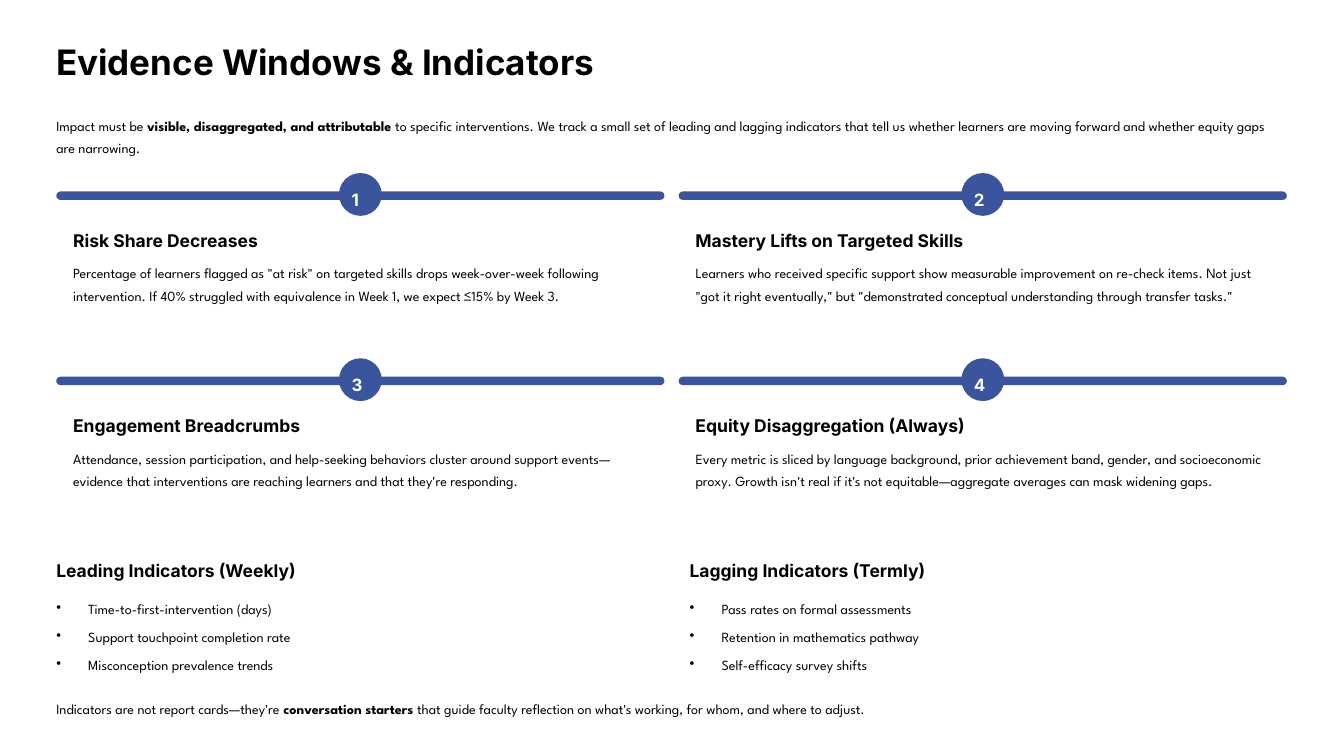
from dataclasses import dataclass

import pptx
import pptx.dml.color
import pptx.enum.shapes
import pptx.util
from lxml import etree
from pptx.oxml.ns import qn

Inches = pptx.util.Inches
Pt = pptx.util.Pt
Shapes = pptx.enum.shapes.MSO_SHAPE

HEADING_FONT = "Inter"
BODY_FONT = "League Spartan"
BLUE = "3A549E"
BLACK = "000000"
WHITE = "FFFFFF"

MARGIN = 0.67
CONTENT_WIDTH = 14.65
CARD_WIDTH = 7.24
CARD_PITCH = 7.41
CARD_TOP = 2.06
ROW_PITCH = 2.205
CIRCLE = 0.51
BULLET_INDENT = 0.38


@dataclass
class Evidence:
    title: str
    title_width: float
    detail: str
    detail_height: float = 0.81


@dataclass
class IndicatorList:
    left: float
    title: str
    title_width: float
    items: list[str]


EVIDENCE = [
    Evidence("Risk Share Decreases", 2.23,
             'Percentage of learners flagged as "at risk" on targeted skills drops week-over-week '
             "following intervention. If 40% struggled with equivalence in Week 1, we expect ≤15% "
             "by Week 3."),
    Evidence("Mastery Lifts on Targeted Skills", 3.23,
             "Learners who received specific support show measurable improvement on re-check items. "
             'Not just "got it right eventually," but "demonstrated conceptual understanding through '
             'transfer tasks."'),
    Evidence("Engagement Breadcrumbs", 2.73,
             "Attendance, session participation, and help-seeking behaviors cluster around support "
             "events—evidence that interventions are reaching learners and that they're responding.",
             0.54),
    Evidence("Equity Disaggregation (Always)", 3.24,
             "Every metric is sliced by language background, prior achievement band, gender, and "
             "socioeconomic proxy. Growth isn't real if it's not equitable—aggregate averages can "
             "mask widening gaps."),
]

INDICATORS = [
    IndicatorList(MARGIN, "Leading Indicators (Weekly)", 2.88,
                  ["Time-to-first-intervention (days)", "Support touchpoint completion rate",
                   "Misconception prevalence trends"]),
    IndicatorList(8.21, "Lagging Indicators (Termly)", 2.84,
                  ["Pass rates on formal assessments", "Retention in mathematics pathway",
                   "Self-efficacy survey shifts"]),
]


def rgb(color: str) -> pptx.dml.color.RGBColor:
    return pptx.dml.color.RGBColor.from_string(color)


def add_bullet(paragraph) -> None:
    properties = paragraph._p.get_or_add_pPr()
    properties.set("marL", str(Inches(BULLET_INDENT)))
    properties.set("indent", str(-Inches(BULLET_INDENT)))
    etree.SubElement(properties, qn("a:buChar")).set("char", "•")


def add_text(slide, text: str, left: float, top: float, width: float, height: float, *,
             font: str = BODY_FONT, size: float = 12, line: float = 19, color: str = BLACK,
             bold: bool = False, wrap: bool = False, bullets: bool = False,
             gap: float = 0) -> None:
    """Each line of text is a paragraph; parts between ** marks are bold."""
    frame = slide.shapes.add_textbox(
        Inches(left), Inches(top), Inches(width), Inches(height)).text_frame
    frame.margin_left = frame.margin_top = frame.margin_right = frame.margin_bottom = 0
    frame.word_wrap = wrap
    for index, content in enumerate(text.split("\n")):
        paragraph = frame.add_paragraph() if index else frame.paragraphs[0]
        if bullets:
            add_bullet(paragraph)
        paragraph.line_spacing = Pt(line)
        if index:
            paragraph.space_before = Pt(gap)
        for part, words in enumerate(content.split("**")):
            run = paragraph.add_run()
            run.text = words
            run.font.name = font
            run.font.size = Pt(size)
            run.font.bold = bold or part % 2 == 1
            run.font.color.rgb = rgb(color)


def add_heading(slide, text: str, left: float, top: float, width: float) -> None:
    add_text(slide, text, left, top, width, 0.26,
             font=HEADING_FONT, size=15, line=18.5, bold=True)


def add_blue_shape(slide, kind, left: float, top: float, width: float, height: float):
    shape = slide.shapes.add_shape(
        kind, Inches(left), Inches(top), Inches(width), Inches(height))
    shape.shadow.inherit = False
    shape.fill.solid()
    shape.fill.fore_color.rgb = rgb(BLUE)
    shape.line.fill.background()
    return shape


def add_evidence(slide, index: int, evidence: Evidence) -> None:
    row, column = divmod(index, 2)
    left = MARGIN + column * CARD_PITCH
    top = CARD_TOP + row * ROW_PITCH
    circle_left = left + (CARD_WIDTH - CIRCLE) / 2
    bar = add_blue_shape(slide, Shapes.ROUNDED_RECTANGLE, left, top + 0.22, CARD_WIDTH, 0.1)
    bar.adjustments[0] = 0.5
    add_blue_shape(slide, Shapes.OVAL, circle_left, top, CIRCLE, CIRCLE)
    add_text(slide, str(index + 1), circle_left + 0.15, top + 0.12, 0.2, 0.25,
             font=HEADING_FONT, size=14.5, line=23, color=WHITE, bold=True)
    add_heading(slide, evidence.title, left + 0.2, top + 0.67, evidence.title_width)
    add_text(slide, evidence.detail, left + 0.2, top + 1.03, 6.85, evidence.detail_height,
             wrap=True)


def add_indicators(slide, indicators: IndicatorList) -> None:
    add_heading(slide, indicators.title, indicators.left, 6.66, indicators.title_width)
    add_text(slide, "\n".join(indicators.items), indicators.left, 7.09, 7.12, 0.93,
             wrap=True, bullets=True, gap=4.75)


def main() -> None:
    deck = pptx.Presentation()
    deck.slide_width, deck.slide_height = Inches(16), Inches(9)
    slide = deck.slides.add_slide(deck.slide_layouts[6])
    slide.background.fill.solid()
    slide.background.fill.fore_color.rgb = rgb(WHITE)

    add_text(slide, "Evidence Windows & Indicators", MARGIN, 0.46, 6.48, 0.53,
             font=HEADING_FONT, size=30, line=37.5, bold=True)
    add_text(slide,
             "Impact must be **visible, disaggregated, and attributable** to specific "
             "interventions. We track a small set of leading and lagging indicators that tell us "
             "whether learners are moving forward and whether equity gaps are narrowing.",
             MARGIN, 1.33, CONTENT_WIDTH, 0.54, wrap=True)
    for index, evidence in enumerate(EVIDENCE):
        add_evidence(slide, index, evidence)
    for indicators in INDICATORS:
        add_indicators(slide, indicators)
    add_text(slide,
             "Indicators are not report cards—they're **conversation starters** that guide "
             "faculty reflection on what's working, for whom, and where to adjust.",
             MARGIN, 8.27, CONTENT_WIDTH, 0.27, wrap=True)
    deck.save("out.pptx")


if __name__ == "__main__":
    main()
